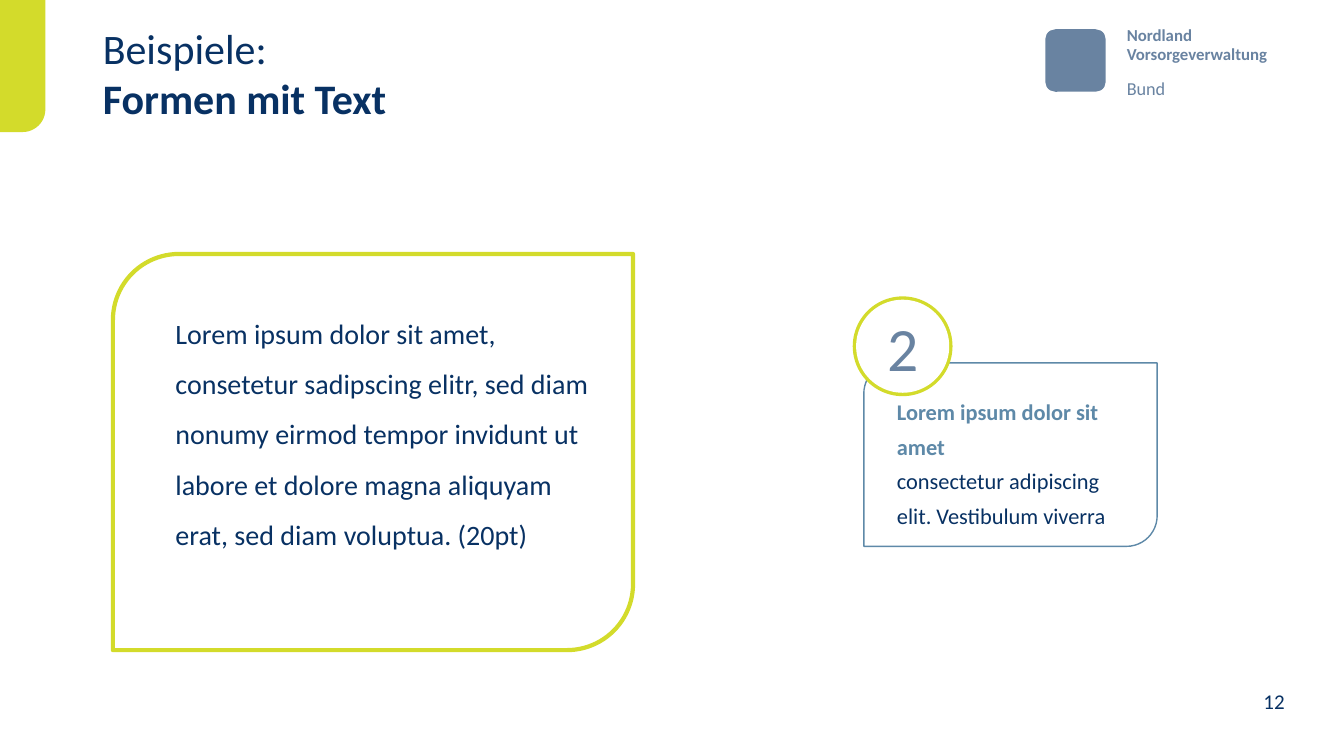
from dataclasses import dataclass

from pptx import Presentation
from pptx import util as u
from pptx.dml.color import RGBColor
from pptx.enum import shapes, text

COLUMNS, ROWS = 80, 45
FORM = shapes.MSO_SHAPE
ALIGN = text.PP_ALIGN
ANCHOR = text.MSO_ANCHOR


@dataclass(frozen=True)
class Theme:
    font: str = "Calibri"
    navy: str = "083163"
    slate: str = "6983A1"
    steel: str = "5E89A8"
    lime: str = "D3DB2B"
    white: str = "FFFFFF"
    title: int = 30
    number: int = 44
    body: int = 20
    card: int = 16
    page: int = 15
    unit: int = 13
    sender: int = 12


class SlideBuilder:
    def __init__(self, deck, theme):
        self.theme = theme
        self.column = deck.slide_width / COLUMNS
        self.row = deck.slide_height / ROWS
        self.page = deck.slides.add_slide(deck.slide_layouts[5])

    def place(self, left, top, width, height):
        """Turn columns and rows into slide lengths."""
        return (u.Emu(round(left * self.column)), u.Emu(round(top * self.row)),
                u.Emu(round(width * self.column)), u.Emu(round(height * self.row)))

    def shape(self, form, area, fill=None, line=None, weight=1, turn=0):
        shape = self.page.shapes.add_shape(form, *self.place(*area))
        shape.shadow.inherit = False
        shape.rotation = turn
        if fill:
            shape.fill.solid()
            shape.fill.fore_color.rgb = RGBColor.from_string(fill)
        else:
            shape.fill.background()
        if line:
            shape.line.color.rgb = RGBColor.from_string(line)
            shape.line.width = u.Pt(weight)
        else:
            shape.line.fill.background()
        return shape

    def set_text(self, box, wording, size, looks, spacing=None, align=ALIGN.LEFT,
                 anchor=ANCHOR.TOP, inset=True):
        """Fill a box; looks holds one (colour, bold) pair for each run."""
        frame = box.text_frame
        frame.text = wording
        frame.word_wrap = True
        frame.auto_size = text.MSO_AUTO_SIZE.NONE
        frame.vertical_anchor = anchor
        if not inset:
            frame.margin_left = frame.margin_right = 0
            frame.margin_top = frame.margin_bottom = 0
        for para in frame.paragraphs:
            para.alignment = align
            para.line_spacing = spacing
        spans = [span for para in frame.paragraphs for span in para.runs]
        for span, (color, bold) in zip(spans, looks):
            span.font.name = self.theme.font
            span.font.size = u.Pt(size)
            span.font.bold = bold
            span.font.color.rgb = RGBColor.from_string(color)

    def text(self, area, wording, size, looks, **layout):
        box = self.page.shapes.add_textbox(*self.place(*area))
        self.set_text(box, wording, size, looks, **layout)

    def title(self, area, wording, looks):
        box = self.page.shapes.title
        box.left, box.top, box.width, box.height = self.place(*area)
        self.set_text(box, wording, self.theme.title, looks, anchor=ANCHOR.MIDDLE)


def main():
    deck = Presentation()
    deck.slide_width, deck.slide_height = u.Inches(13.33), u.Inches(7.5)
    theme = Theme()
    slide = SlideBuilder(deck, theme)

    # Header: sender, corner tab and title
    slide.shape(FORM.ROUNDED_RECTANGLE, (62.22, 1.74, 3.6, 3.72), fill=theme.slate)
    slide.text((66.48, 1.32, 10.56, 2.82), "Nordland\nVorsorgeverwaltung",
               theme.sender, [(theme.slate, True)] * 2, spacing=u.Pt(13))
    slide.text((66.48, 3.84, 3.9, 2.16), "Bund", theme.unit,
               [(theme.slate, False)], spacing=u.Pt(21))
    tab = slide.shape(FORM.ROUND_1_RECTANGLE, (-2.58, 2.58, 7.86, 2.7),
                      fill=theme.lime, turn=90)
    tab.adjustments[0] = 0.5
    slide.title((5.52, 0.78, 54.18, 7.08), "Beispiele:\vFormen mit Text",
                [(theme.navy, False), (theme.navy, True)])

    # Large frame with body text
    slide.text((10.44, 17.82, 24.84, 19.86),
               "Lorem ipsum dolor sit amet, consetetur sadipscing elitr, sed diam "
               "nonumy eirmod tempor invidunt ut labore et dolore magna aliquyam "
               "erat, sed diam voluptua. (20pt)",
               theme.body, [(theme.navy, False)], spacing=1.5, inset=False)
    slide.shape(FORM.ROUND_2_DIAG_RECTANGLE, (6.72, 15.12, 30.96, 23.58),
                line=theme.lime, weight=3)

    # Card with heading and text
    slide.shape(FORM.ROUND_2_DIAG_RECTANGLE, (51.42, 21.6, 17.46, 10.92),
                fill=theme.white, line=theme.steel)
    slide.text((52.8, 22.98, 15.54, 8.82),
               "Lorem ipsum dolor sit amet\v"
               "consectetur adipiscing elit. Vestibulum viverra",
               theme.card, [(theme.steel, True), (theme.navy, False)],
               spacing=u.Pt(24.6))

    # Numbered ring on the card
    left, top, size, rim = 50.76, 17.64, 5.94, 0.2
    slide.shape(FORM.OVAL, (left, top, size, size), fill=theme.lime)
    slide.shape(FORM.OVAL, (left + rim, top + rim, size - 2 * rim, size - 2 * rim),
                fill=theme.white)
    slide.text((left, 19.8, size, 1.68), "2", theme.number, [(theme.slate, False)],
               align=ALIGN.CENTER, anchor=ANCHOR.MIDDLE, inset=False)

    # Page number
    slide.text((57.06, 39.78, 20, 3), "12", theme.page, [(theme.navy, False)],
               align=ALIGN.RIGHT, anchor=ANCHOR.BOTTOM)

    deck.save("out.pptx")


if __name__ == "__main__":
    main()
